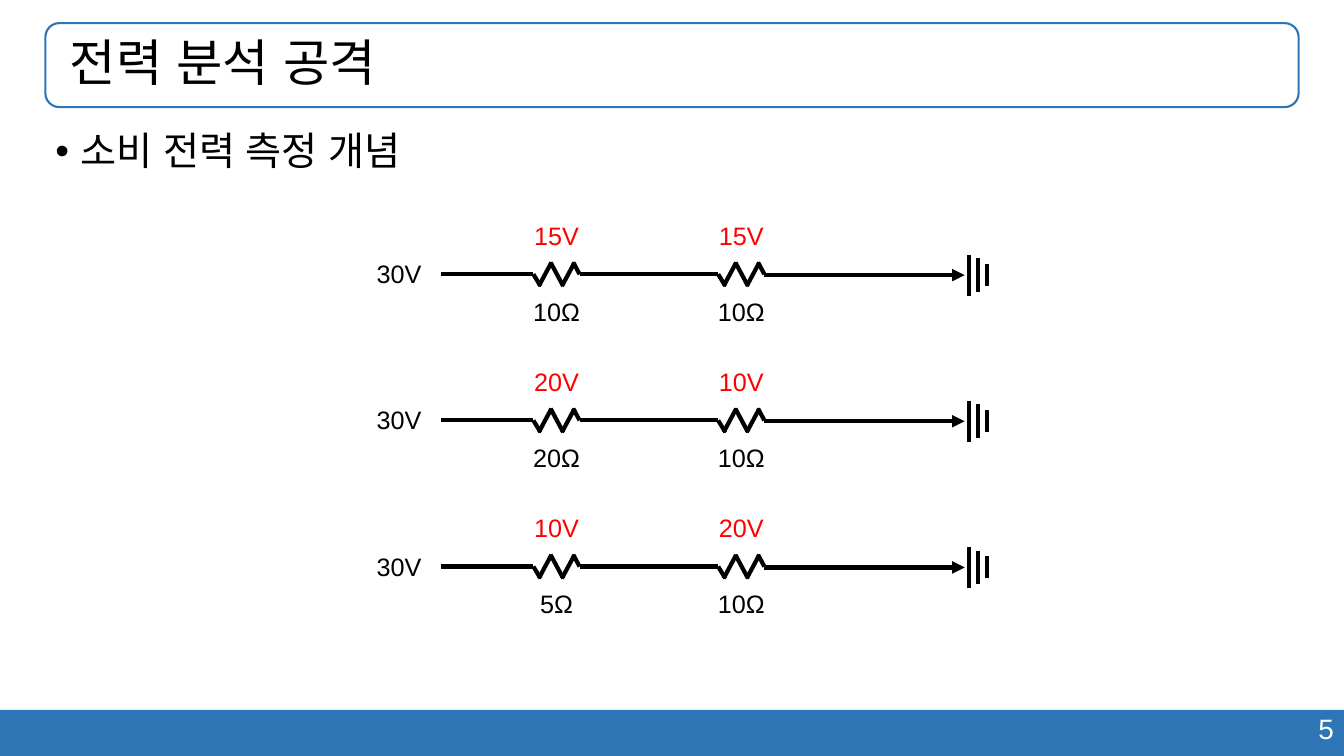
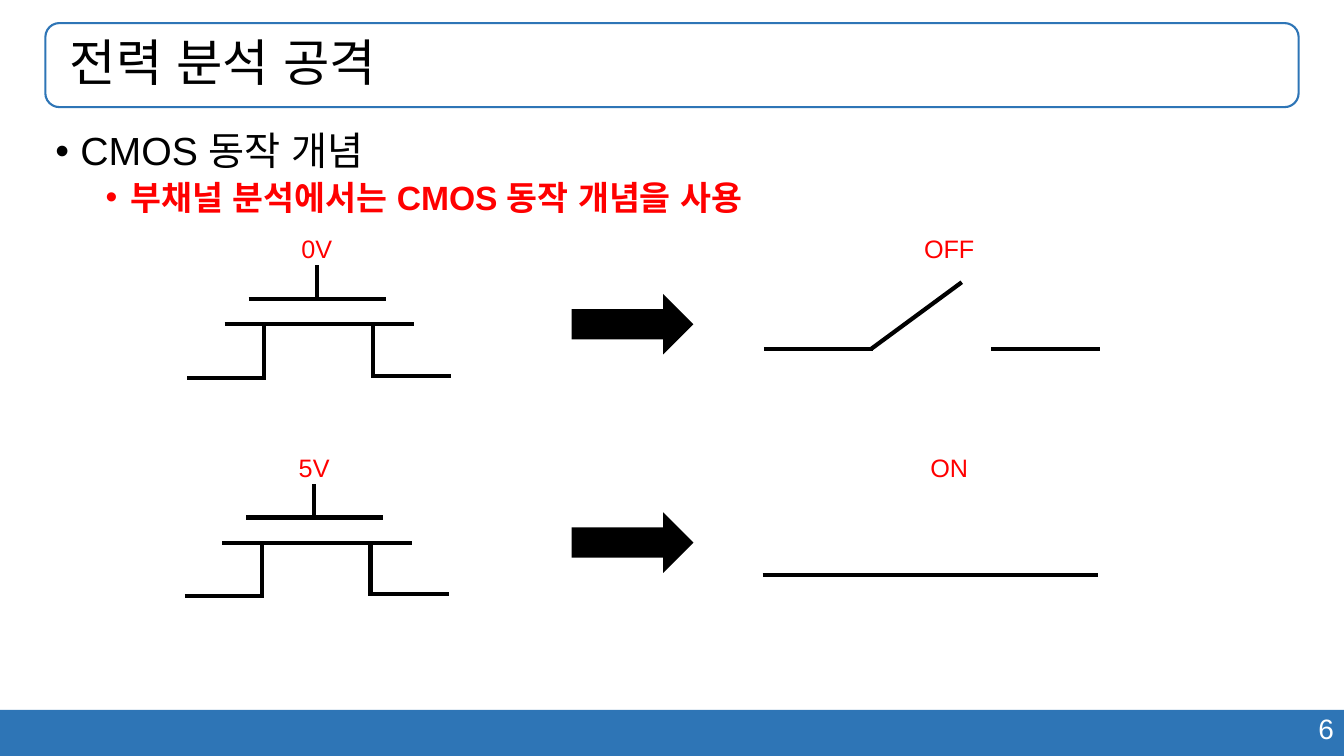
from dataclasses import dataclass

from lxml import etree
from pptx import Presentation
from pptx.dml.color import RGBColor
from pptx.enum.shapes import MSO_CONNECTOR, MSO_SHAPE
from pptx.enum.text import MSO_ANCHOR, PP_ALIGN
from pptx.oxml.ns import qn
from pptx.util import Inches, Pt

STRAIGHT = MSO_CONNECTOR.STRAIGHT
RECTANGLE, ROUNDED = MSO_SHAPE.RECTANGLE, MSO_SHAPE.ROUNDED_RECTANGLE
RIGHT_ARROW = MSO_SHAPE.RIGHT_ARROW
LEFT, CENTER, RIGHT = PP_ALIGN.LEFT, PP_ALIGN.CENTER, PP_ALIGN.RIGHT
TOP, MIDDLE = MSO_ANCHOR.TOP, MSO_ANCHOR.MIDDLE

# The slide is a grid of 160 columns by 90 rows of square cells.
COLUMNS, ROWS = 160, 90
CELL = Inches(7.5) / ROWS

BLUE, BLACK, RED, WHITE = "2E75B6", "000000", "FF0000", "FFFFFF"
FONT = "Arial"
WIRE_WIDTH = 3
LABEL_WIDTH, LABEL_HEIGHT = 10, 4.9
TITLE = "전력 분석 공격"

FIRST_WIRE, WIRE_PITCH = 32.65, 17.4
SUPPLY_CENTER, WIRE_START, WIRE_END = 47.5, 52.45, 114.85
RESISTOR_STARTS, RESISTOR_WIDTH = (63.5, 85.5), 5.5
# The strokes overlap a little, so that the corners close.
ZIGZAG_LINES = (
    (0, 0, 0.85, 1.4),
    (0.65, 1.4, 2.15, -1.4),
    (2.05, -1.4, 3.55, 1.4),
    (3.4, 1.4, 4.9, -1.4),
    (4.75, -1.4, RESISTOR_WIDTH, 0),
)
GROUND_START, GROUND_GAP = 115.35, 1.1
GROUND_HALVES = (2.45, 2, 1.3)

SWITCH_CENTER = 113
TRANSISTOR_LINES = (
    (-8.1, 0, 8.25, 0),           # gate plate
    (0, 0, 0, -4),                # gate lead
    (-10.95, 3, 11.6, 3),         # channel
    (-6.25, 3, -6.25, 9.35),      # left leg
    (6.7, 3, 6.7, 9.35),          # right leg
    (-15.4, 9.4, -6, 9.4),        # left foot
    (6.55, 9.15, 16, 9.15),       # right foot
)


@dataclass(frozen=True)
class Area:
    left: float
    top: float
    width: float
    height: float


@dataclass(frozen=True)
class Bullet:
    text: str
    size: int
    level: int = 0
    color: str = BLACK
    bold: bool = False


@dataclass(frozen=True)
class Circuit:
    voltages: tuple[str, str]
    resistances: tuple[str, str]


@dataclass(frozen=True)
class SwitchState:
    gate_voltage: str
    state: str
    gate_x: float
    gate_y: float
    contacts: tuple[tuple[float, float, float, float], ...]


BAND = Area(0, 84.5, COLUMNS, 5.5)
NUMBER = Area(113.2, 84.1, 46.8, 5.3)
TITLE_FRAME = Area(5.4, 2.75, 149.2, 10)
BODY = Area(5.4, 15.1, 149.2, 66.4)

CIRCUITS = (
    Circuit(("15V", "15V"), ("10Ω", "10Ω")),
    Circuit(("20V", "10V"), ("20Ω", "10Ω")),
    Circuit(("10V", "20V"), ("5Ω", "10Ω")),
)
SWITCH_STATES = (
    SwitchState("0V", "OFF", 37.7, 35.6, (
        (90.95, 41.55, 103.9, 41.55),
        (103.7, 41.55, 114.5, 33.6),
        (118, 41.55, 130.95, 41.55),
    )),
    SwitchState("5V", "ON", 37.4, 61.6, (
        (90.8, 68.5, 103.7, 68.5),
        (103.5, 68.5, 118, 68.5),
        (117.8, 68.5, 130.7, 68.5),
    )),
)


def cells(count: float) -> int:
    return round(count * CELL)


def box_of(area: Area) -> tuple[int, int, int, int]:
    return (cells(area.left), cells(area.top),
            cells(area.width), cells(area.height))


def rgb(value: str) -> RGBColor:
    return RGBColor.from_string(value)


def add_block(page, kind, area: Area, fill: str = "", line: str = ""):
    box = page.shapes.add_shape(kind, *box_of(area))
    box.shadow.inherit = False
    if fill:
        box.fill.solid()
        box.fill.fore_color.rgb = rgb(fill)
    else:
        box.fill.background()
    if line:
        box.line.color.rgb = rgb(line)
        box.line.width = Pt(1.5)
    else:
        box.line.fill.background()


def add_span(para, text: str, size: int, color: str, bold: bool = False):
    """Add a run in the shared font, for Latin and Korean letters alike."""
    span = para.add_run()
    span.text = text
    span.font.name = FONT
    span.font.size = Pt(size)
    span.font.bold = bold
    span.font.color.rgb = rgb(color)
    etree.SubElement(span._r.get_or_add_rPr(), qn("a:ea"), typeface=FONT)


def add_frame(page, area: Area, anchor=TOP):
    """Add a wrapping text box and return its text frame."""
    frame = page.shapes.add_textbox(*box_of(area)).text_frame
    frame.word_wrap = True
    frame.vertical_anchor = anchor
    return frame


def add_text(page, area: Area, text: str, size: int, color: str, align=LEFT):
    para = add_frame(page, area).paragraphs[0]
    para.alignment = align
    add_span(para, text, size, color)


def add_label(page, center: float, top: float, text: str, color: str):
    area = Area(center - LABEL_WIDTH / 2, top, LABEL_WIDTH, LABEL_HEIGHT)
    add_text(page, area, text, 18, color, CENTER)


def add_line(page, x1: float, y1: float, x2: float, y2: float,
             arrow: bool = False):
    line = page.shapes.add_connector(
        STRAIGHT, cells(x1), cells(y1), cells(x2), cells(y2))
    line.line.color.rgb = rgb(BLACK)
    line.line.width = Pt(WIRE_WIDTH)
    if arrow:
        outline = line.line._get_or_add_ln()
        etree.SubElement(outline, qn("a:tailEnd"), type="triangle")
    etree.SubElement(line._element.spPr, qn("a:effectLst"))


def add_lines(page, x: float, y: float, lines):
    """Draw lines whose ends are counted from the point x, y."""
    for x1, y1, x2, y2 in lines:
        add_line(page, x + x1, y + y1, x + x2, y + y2)


def add_bullets(page, bullets: tuple[Bullet, ...]):
    frame = add_frame(page, BODY)
    for index, bullet in enumerate(bullets):
        para = frame.add_paragraph() if index else frame.paragraphs[0]
        para.level = bullet.level
        properties = para._p.get_or_add_pPr()
        properties.set("marL", str(cells(3 + 6 * bullet.level)))
        properties.set("indent", str(cells(-3)))
        etree.SubElement(properties, qn("a:buFont"), typeface=FONT)
        etree.SubElement(properties, qn("a:buChar"), char="•")
        para.line_spacing = 0.9
        if index:
            para.space_before = Pt(5)
        add_span(para, bullet.text, bullet.size, bullet.color, bullet.bold)


def add_page(deck, number: int, bullets: tuple[Bullet, ...]):
    """Add a slide with the shared band, number, title and its bullets."""
    page = deck.slides.add_slide(deck.slide_layouts[6])
    add_block(page, RECTANGLE, BAND, fill=BLUE)
    add_text(page, NUMBER, str(number), 20, WHITE, RIGHT)
    add_block(page, ROUNDED, TITLE_FRAME, line=BLUE)
    frame = add_frame(page, TITLE_FRAME, MIDDLE)
    frame.margin_left = cells(2.9)
    para = frame.paragraphs[0]
    para.line_spacing = 0.9
    add_span(para, TITLE, 36, BLACK)
    add_bullets(page, bullets)
    return page


def add_resistor(page, left: float, wire: float, voltage: str,
                 resistance: str):
    add_lines(page, left, wire, ZIGZAG_LINES)
    center = left + RESISTOR_WIDTH / 2
    add_label(page, center, wire - 7.05, voltage, RED)
    add_label(page, center, wire + 2.05, resistance, BLACK)


def add_circuit(page, circuit: Circuit, wire: float):
    add_label(page, SUPPLY_CENTER, wire - 2.45, "30V", BLACK)
    start = WIRE_START
    for left, voltage, resistance in zip(
            RESISTOR_STARTS, circuit.voltages, circuit.resistances):
        add_line(page, start, wire, left, wire)
        add_resistor(page, left, wire, voltage, resistance)
        start = left + RESISTOR_WIDTH
    axis = wire + 0.1
    add_line(page, start, axis, WIRE_END, axis, arrow=True)
    for index, half in enumerate(GROUND_HALVES):
        x = GROUND_START + index * GROUND_GAP
        add_line(page, x, axis - half, x, axis + half)


def add_switch_state(page, item: SwitchState):
    """Draw a transistor, an arrow and the switch it acts as."""
    x, y = item.gate_x, item.gate_y
    add_lines(page, x, y, TRANSISTOR_LINES)
    add_label(page, x, y - 8.4, item.gate_voltage, RED)
    add_block(page, RIGHT_ARROW, Area(68.05, y - 0.6, 14.5, 7.2), fill=BLACK)
    add_lines(page, 0, 0, item.contacts)
    add_label(page, SWITCH_CENTER, y - 8.4, item.state, RED)


def main():
    deck = Presentation()
    deck.slide_width, deck.slide_height = cells(COLUMNS), cells(ROWS)

    page = add_page(deck, 5, (Bullet("소비 전력 측정 개념", 28),))
    for index, circuit in enumerate(CIRCUITS):
        add_circuit(page, circuit, FIRST_WIRE + index * WIRE_PITCH)

    page = add_page(deck, 6, (
        Bullet("CMOS 동작 개념", 28),
        Bullet("부채널 분석에서는 CMOS 동작 개념을 사용", 24, 1, RED, True),
    ))
    for item in SWITCH_STATES:
        add_switch_state(page, item)

    deck.save("out.pptx")


if __name__ == "__main__":
    main()
